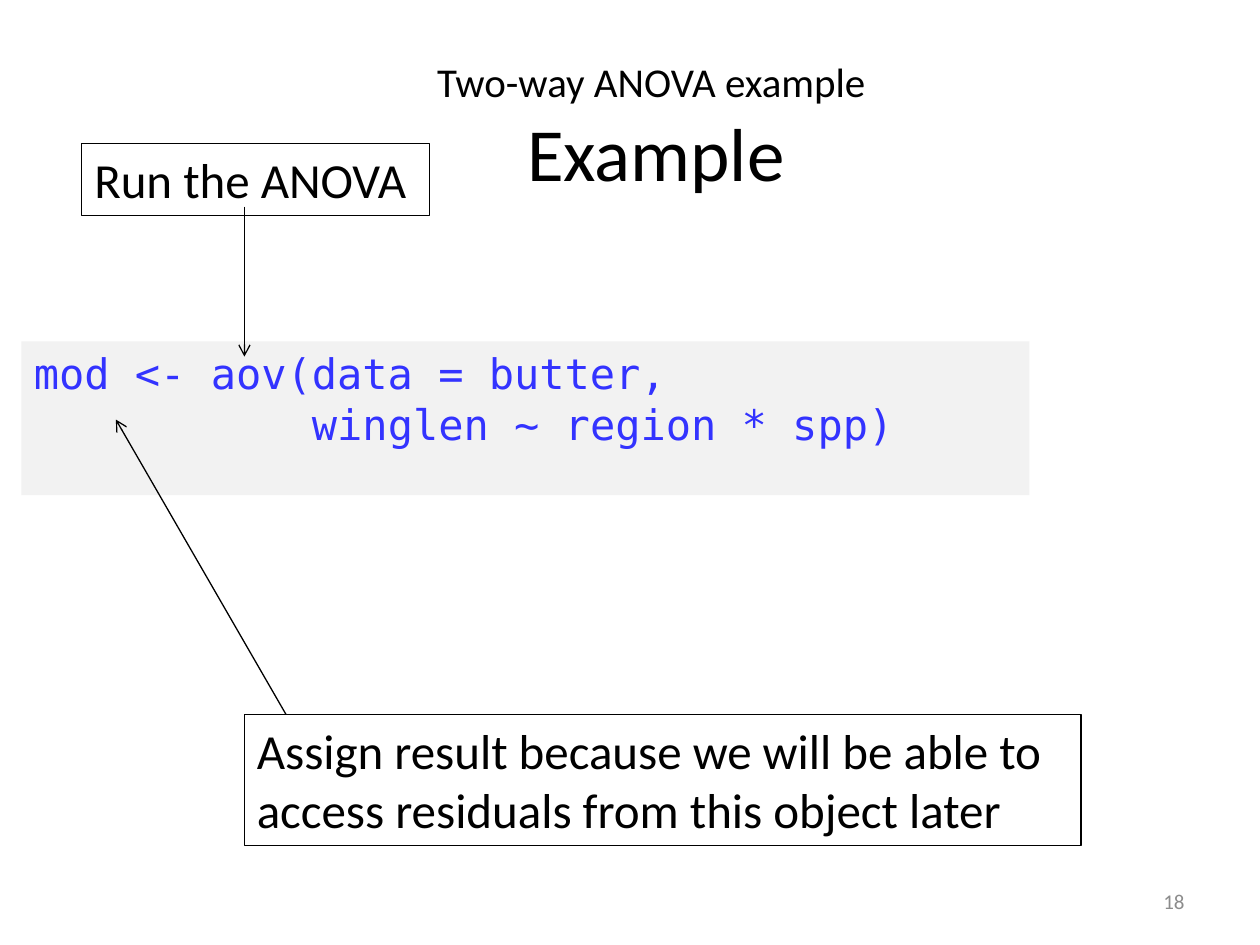
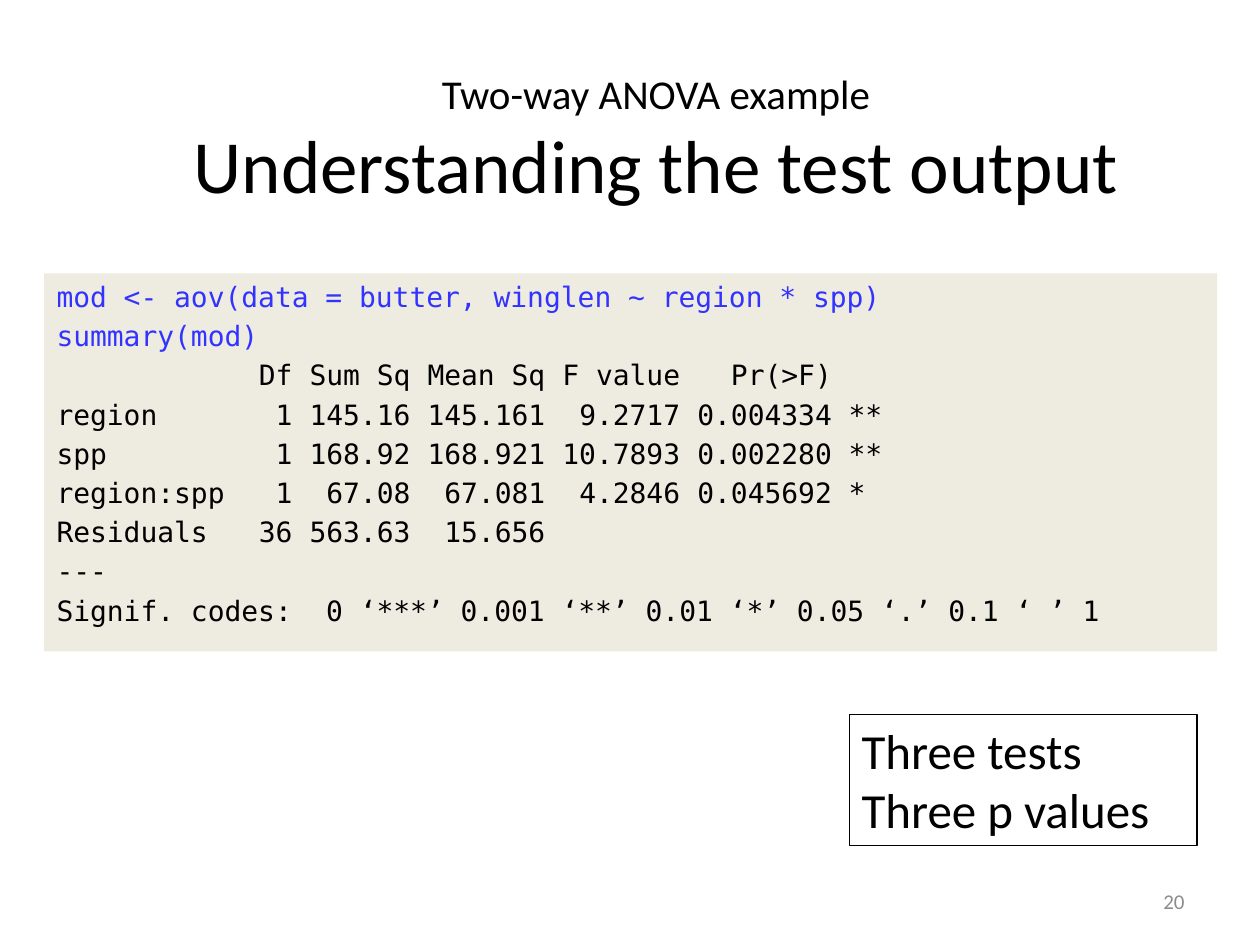
"""Builds two slides on a two-way ANOVA example."""
from lxml import etree
from pptx import Presentation
from pptx import util as u
from pptx.dml.color import RGBColor
from pptx.enum import shapes, text
from pptx.oxml import ns

COLORS = {"black": "000000", "white": "FFFFFF", "code": "3333FF",
          "gray": "F2F2F2", "cream": "EEECE1", "page": "8C8C8C"}
SANS, MONO = "Calibri", "DejaVu Sans Mono"
ADVANCE = 0.602
STOPS = [(14, "r"), (21, "r"), (29, "r"), (37, "r"), (46, "r"), (47, "l")]
ROWS = [
    ["", "Df", "Sum Sq", "Mean Sq", "F value", "Pr(>F)"],
    ["region", "1", "145.16", "145.161", "9.2717", "0.004334", "**"],
    ["spp", "1", "168.92", "168.921", "10.7893", "0.002280", "**"],
    ["region:spp", "1", "67.08", "67.081", "4.2846", "0.045692", "*"],
    ["Residuals", "36", "563.63", "15.656"],
]


def color(name):
    """Return the named colour."""
    return RGBColor.from_string(COLORS[name])


def add_run(para, words, size, tint="black", font=SANS):
    """Add one styled run to a paragraph."""
    run = para.add_run()
    run.text = words
    run.font.size, run.font.name = u.Pt(size), font
    run.font.color.rgb = color(tint)


def add_para(frame, first, align=text.PP_ALIGN.LEFT):
    """Return the first or a new paragraph, aligned."""
    para = frame.paragraphs[0] if first else frame.add_paragraph()
    para.alignment = align
    return para


def add_label(slide, box, align):
    """Add a middle-anchored text box and return its paragraph."""
    frame = slide.shapes.add_textbox(*map(u.Inches, box)).text_frame
    frame.word_wrap = True
    frame.vertical_anchor = text.MSO_ANCHOR.MIDDLE
    return add_para(frame, True, align)


def add_title(slide, box, topic, head):
    """Add the small topic line with the large heading under it."""
    para = add_label(slide, box, text.PP_ALIGN.CENTER)
    add_run(para, topic, 23.4)
    para.add_line_break()
    add_run(para, head, 42.9)


def add_page(slide, number):
    """Add the slide number."""
    para = add_label(slide, (7.17, 6.95, 2.33, 0.4), text.PP_ALIGN.RIGHT)
    add_run(para, number, 12, "page")


def add_panel(slide, box, fill=None, line=None):
    """Add a rectangle and return its text frame."""
    panel = slide.shapes.add_shape(shapes.MSO_SHAPE.RECTANGLE,
                                   *map(u.Inches, box))
    panel.shadow.inherit = False
    if fill:
        panel.fill.solid()
        panel.fill.fore_color.rgb = color(fill)
    else:
        panel.fill.background()
    if line:
        panel.line.color.rgb = color(line)
        panel.line.width = u.Pt(0.75)
    else:
        panel.line.fill.background()
    frame = panel.text_frame
    frame.word_wrap = True
    frame.vertical_anchor = text.MSO_ANCHOR.TOP
    return frame


def add_note(slide, box, lines, fill=None):
    """Add an outlined note."""
    frame = add_panel(slide, box, fill, "black")
    frame.auto_size = text.MSO_AUTO_SIZE.SHAPE_TO_FIT_TEXT
    for i, line in enumerate(lines):
        add_run(add_para(frame, i == 0), line, 28)


def add_arrow(slide, start, end):
    """Add a thin arrow from start to end."""
    arrow = slide.shapes.add_connector(shapes.MSO_CONNECTOR.STRAIGHT,
                                       *map(u.Inches, start + end))
    arrow.line.color.rgb = color("black")
    arrow.line.width = u.Pt(0.75)
    tail = etree.SubElement(arrow.line._get_or_add_ln(), ns.qn("a:tailEnd"))
    tail.set("type", "arrow")
    etree.SubElement(arrow._element.spPr, ns.qn("a:effectLst"))


def chars(count, size):
    """Return the width of a count of code letters."""
    return u.Pt(count * size * ADVANCE)


def add_code(frame, words, size, tint, first=False, gap=0, shift=0, stops=()):
    """Add a line of code with a left shift and tab stops in letters."""
    para = add_para(frame, first)
    para.space_before = u.Pt(gap)
    props = para._p.get_or_add_pPr()
    if shift:
        props.set("marL", str(chars(shift, size)))
    if stops:
        tabs = etree.SubElement(props, ns.qn("a:tabLst"))
        for count, side in stops:
            tab = etree.SubElement(tabs, ns.qn("a:tab"))
            tab.set("pos", str(chars(count, size)))
            tab.set("algn", side)
    add_run(para, words, size, tint, MONO)


def draw_model(slide):
    """Draw the slide that runs the model."""
    add_page(slide, "18")
    frame = add_panel(slide, (0.17, 2.71, 8, 1.22), "gray")
    add_code(frame, "mod <- aov(data = butter,", 24, "code", True)
    add_code(frame, "winglen ~ region * spp)", 24, "code", shift=11)
    add_note(slide, (0.65, 1.14, 2.76, 0.57), ["Run the ANOVA"])
    add_note(slide, (1.94, 5.67, 6.64, 1.04),
             ["Assign result because we will be able to "
              "access residuals from this object later"])
    add_arrow(slide, (2.27, 5.67), (0.92, 3.33))
    add_title(slide, (1.33, 0.33, 7.75, 1.35),
              "Two-way ANOVA example ", "Example")
    add_arrow(slide, (1.94, 1.64), (1.94, 2.83))


def draw_output(slide):
    """Draw the slide that shows the test output."""
    frame = add_panel(slide, (0.35, 2.17, 9.31, 3), "cream")
    lines = [("mod <- aov(data = butter, winglen ~ region * spp)", "code", ()),
             ("summary(mod)", "code", ())]
    lines += [("\t".join(row), "black", STOPS) for row in ROWS]
    lines += [("---", "black", ()),
              ("Signif. codes:\t0 ‘***’ 0.001 ‘**’ 0.01 ‘*’ 0.05 ‘.’ 0.1 ‘ ’ 1",
               "black", [(16, "l")])]
    for i, (words, tint, stops) in enumerate(lines):
        add_code(frame, words, 16, tint, i == 0, gap=3.2, stops=stops)
    add_page(slide, "20")
    add_title(slide, (1.33, 0.31, 7.75, 1.58),
              "Two-way ANOVA example", "Understanding the test output")
    add_note(slide, (6.74, 5.67, 2.76, 1.04),
             ["Three tests", "Three p values"], "white")


def main():
    """Build and save the deck."""
    deck = Presentation()
    deck.slide_width, deck.slide_height = u.Inches(10), u.Inches(7.5)
    for draw in (draw_model, draw_output):
        draw(deck.slides.add_slide(deck.slide_layouts[6]))
    deck.save("out.pptx")


if __name__ == "__main__":
    main()
